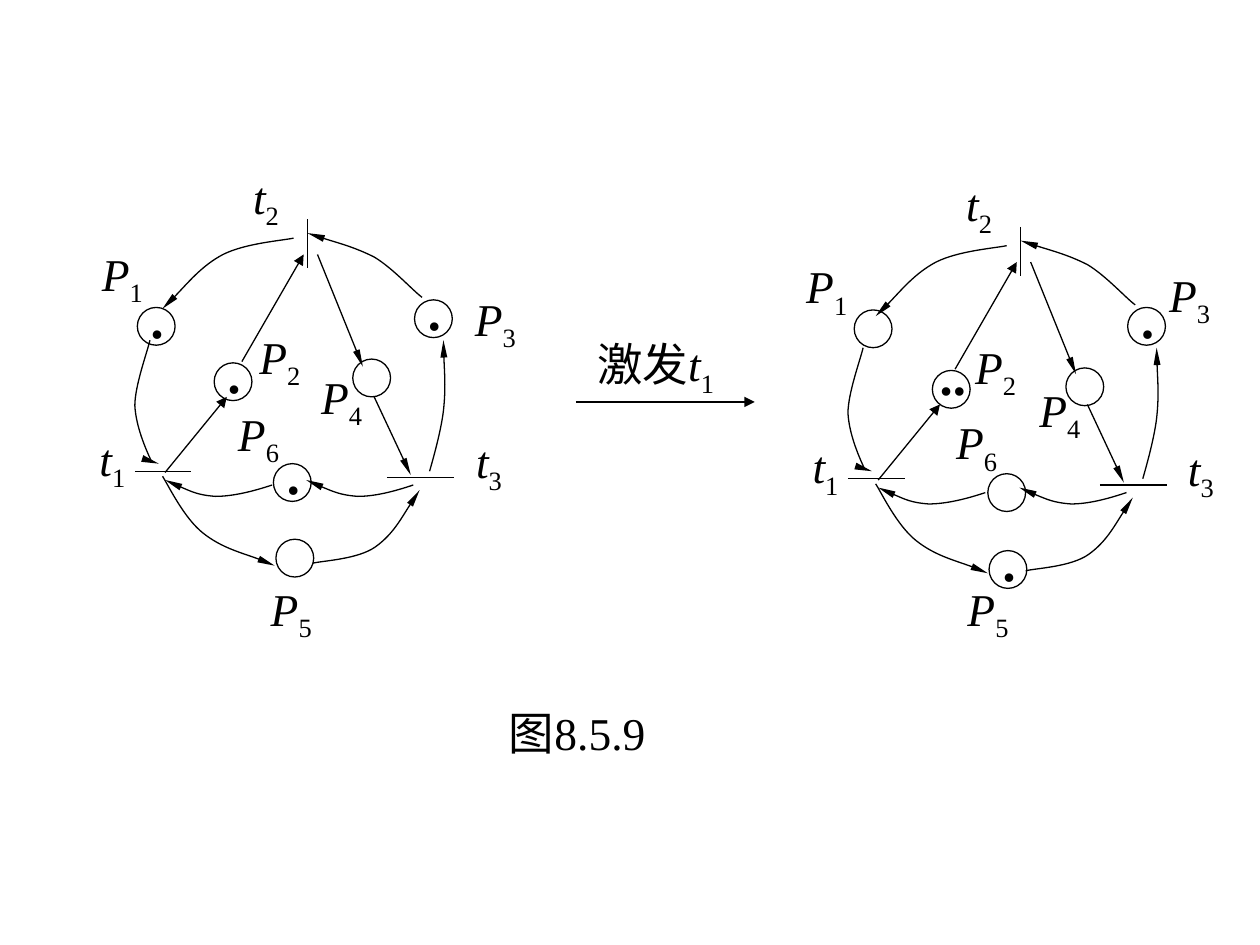
from lxml import etree
from pptx import Presentation
from pptx.dml.color import RGBColor
from pptx.enum.shapes import MSO_CONNECTOR, MSO_SHAPE
from pptx.enum.text import MSO_AUTO_SIZE
from pptx.oxml.ns import qn
from pptx.util import Inches, Pt

STRAIGHT = MSO_CONNECTOR.STRAIGHT
OVAL = MSO_SHAPE.OVAL
GROW = MSO_AUTO_SIZE.SHAPE_TO_FIT_TEXT
INK = "000000"
FACE = "Times New Roman"
SIZE = 0.3
PLAIN = {"type": "triangle"}
SLIM = {"type": "triangle", "w": "sm", "len": "lg"}
TOKENS = {"·": (-0.01, -0.11), "..": (-0.04, -0.27)}

BARS = [
    [(2.44, 1.74), (2.44, 2.13)],
    [(3.07, 3.79), (3.6, 3.79)],
    [(1.07, 3.74), (1.52, 3.74)],
]
ARROWS = [
    ([(1.92, 2.87), (2.41, 2.02)], PLAIN),
    ([(2.52, 2.02), (2.88, 2.91)], SLIM),
    ([(2.97, 3.15), (3.26, 3.77)], SLIM),
    ([(1.31, 3.75), (1.8, 3.15)], PLAIN),
]
CURVES = [
    [(2.33, 1.89), (2.24, 1.91), (1.95, 1.93), (1.77, 2.02),
     (1.6, 2.11), (1.39, 2.36), (1.29, 2.45)],
    [(1.19, 2.7), (1.17, 2.79), (1.07, 3.06), (1.07, 3.22),
     (1.08, 3.39), (1.18, 3.62), (1.22, 3.7),
     (1.25, 3.78), (1.25, 3.68), (1.26, 3.68)],
    [(1.29, 3.78), (1.34, 3.86), (1.46, 4.11), (1.61, 4.23),
     (1.76, 4.35), (2.06, 4.43), (2.18, 4.49)],
    [(2.16, 3.85), (2.01, 3.9), (1.85, 3.94), (1.71, 3.94),
     (1.57, 3.93), (1.44, 3.87), (1.31, 3.81)],
    [(3.35, 2.36), (3.28, 2.31), (3.12, 2.13), (2.97, 2.04),
     (2.81, 1.96), (2.55, 1.89), (2.44, 1.85)],
    [(3.28, 3.85), (3.13, 3.9), (2.98, 3.94), (2.84, 3.94),
     (2.7, 3.93), (2.56, 3.87), (2.43, 3.81)],
    [(2.48, 4.47), (2.56, 4.45), (2.84, 4.44), (2.98, 4.34),
     (3.12, 4.24), (3.26, 3.99), (3.33, 3.89)],
    [(3.41, 3.74), (3.43, 3.67), (3.5, 3.43), (3.52, 3.26),
     (3.54, 3.08), (3.52, 2.82), (3.52, 2.7)],
]
BEFORE = {
    "shift": (0, 0),
    "places": [(1.09, 2.44, "·"), (1.7, 2.88, "·"), (3.29, 2.38, "·"),
               (2.8, 2.85, ""), (2.19, 4.28, ""), (2.17, 3.68, "·")],
    "P": [(0.71, 1.9), (1.96, 2.56), (3.67, 2.26),
          (2.45, 2.88), (2.05, 4.56), (1.79, 3.17)],
    "t": [(0.69, 3.37), (1.91, 1.29), (3.68, 3.39)],
}
AFTER = {
    "shift": (5.66, 0.06),
    "places": [(6.78, 2.46, ""), (7.4, 2.94, ".."), (8.95, 2.44, "·"),
               (8.46, 2.92, ""), (7.85, 4.37, "·"), (7.84, 3.76, "")],
    "P": [(6.3, 2), (7.64, 2.64), (9.18, 2.07),
          (8.15, 2.98), (7.58, 4.56), (7.49, 3.24)],
    "t": [(6.35, 3.43), (7.57, 1.35), (9.33, 3.45)],
}


def color(code):
    """Turn a hex string into a colour."""
    return RGBColor.from_string(code)


def write(slide, x, y, w=0.59, text="", var="", sub="", size=26, bold=None, h=0.6):
    """Add upright text, an italic variable and its subscript."""
    box = slide.shapes.add_textbox(Inches(x), Inches(y), Inches(w), Inches(h))
    frame = box.text_frame
    frame.word_wrap = True
    frame.auto_size = GROW
    for part in filter(None, (text, var, sub)):
        run = frame.paragraphs[0].add_run()
        run.text = part
        font = run.font
        font.name, font.size, font.bold = FACE, Pt(size), bold
        font.color.rgb = color(INK)
        font.italic = part == var
        if part == sub:
            run._r.get_or_add_rPr().set("baseline", "-25000")


def stroke(shape, head=None):
    """Draw a thin line, with the given arrowhead at its end."""
    shape.line.color.rgb = color(INK)
    shape.line.width = Pt(0.75)
    if head:
        line = shape.line._get_or_add_ln()
        etree.SubElement(line, qn("a:tailEnd"), **head)


def link(slide, ends, head=None):
    """Join two points with a straight line."""
    spots = [Inches(n) for point in ends for n in point]
    line = slide.shapes.add_connector(STRAIGHT, *spots)
    stroke(line, head)
    etree.SubElement(line._element.spPr, qn("a:effectLst"))


def curve(slide, points):
    """Draw a chain of Bezier curves that ends in an arrowhead."""
    first, *rest = [(Inches(x), Inches(y)) for x, y in points]
    pen = slide.shapes.build_freeform(*first, scale=1.0)
    pen.add_line_segments(rest, close=False)
    shape = pen.convert_to_shape()
    legs = shape._element.xpath(".//a:lnTo")
    for i in range(0, len(legs), 3):
        bend = etree.Element(qn("a:cubicBezTo"))
        legs[i].addprevious(bend)
        for leg in legs[i:i + 3]:
            bend.append(leg[0])
            leg.getparent().remove(leg)
    shape.fill.background()
    shape.shadow.inherit = False
    stroke(shape, SLIM)


def place(slide, x, y, token):
    """Draw a place circle with its tokens."""
    ring = slide.shapes.add_shape(OVAL, Inches(x), Inches(y), Inches(SIZE), Inches(SIZE))
    ring.fill.background()
    ring.shadow.inherit = False
    stroke(ring)
    if token:
        dx, dy = TOKENS[token]
        write(slide, x + dx, y + dy, 0.45, text=token, size=30, bold=True)


def net(slide, state):
    """Draw one Petri net in the given state."""
    dx, dy = state["shift"]

    def move(points):
        """Shift points to this net."""
        return [(x + dx, y + dy) for x, y in points]

    for spot in state["places"]:
        place(slide, *spot)
    for points in CURVES:
        curve(slide, move(points))
    for ends, head in ARROWS:
        link(slide, move(ends), head)
    for ends in BARS:
        link(slide, move(ends))
    for var in "Pt":
        for i, (x, y) in enumerate(state[var], 1):
            write(slide, x, y, var=var, sub=str(i))


def main():
    """Build the slide and save it."""
    deck = Presentation()
    deck.slide_width, deck.slide_height = Inches(10), Inches(7.5)
    slide = deck.slides.add_slide(deck.slide_layouts[6])
    net(slide, BEFORE)
    net(slide, AFTER)
    link(slide, [(4.57, 3.19), (5.99, 3.19)], PLAIN)
    write(slide, 4.64, 2.62, 1.4, text="激发", var="t", sub="1")
    write(slide, 3.94, 5.55, 2.04, text="图8.5.9", h=0.54)
    deck.save("out.pptx")


if __name__ == "__main__":
    main()
